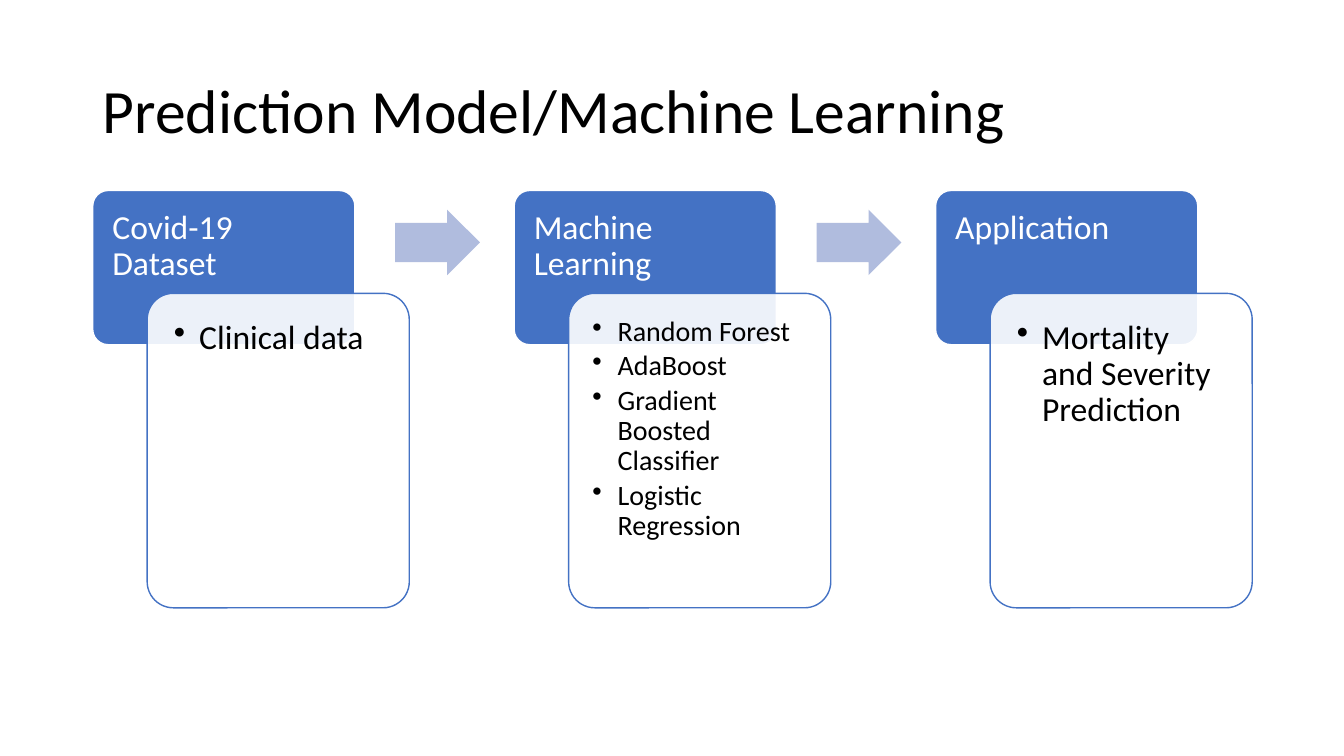
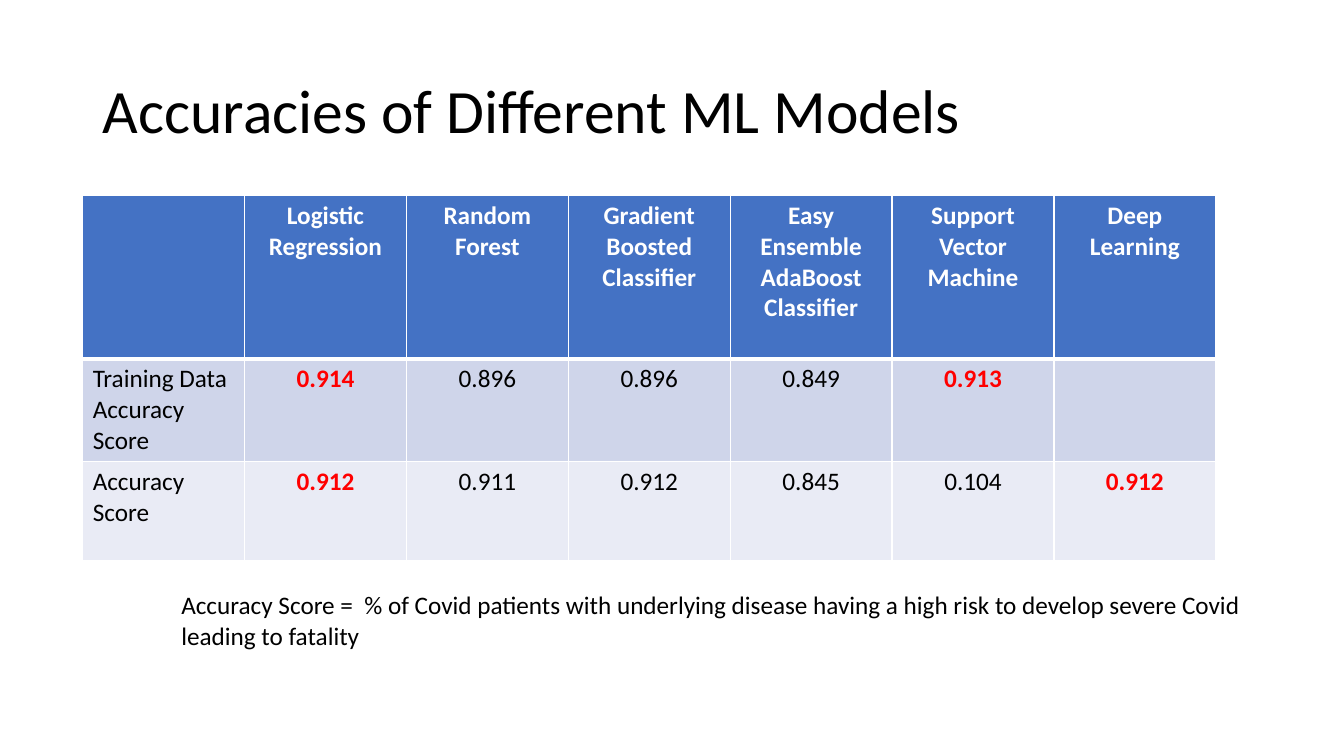
from dataclasses import dataclass

from lxml.etree import SubElement
from pptx import Presentation
from pptx.dml.color import RGBColor
from pptx.enum.shapes import MSO_SHAPE as Form
from pptx.enum.text import MSO_ANCHOR as Anchor, MSO_AUTO_SIZE as Fit, PP_ALIGN as Align
from pptx.oxml import parse_xml
from pptx.oxml.ns import nsdecls, qn
from pptx.shapes.autoshape import Shape
from pptx.slide import Slide
from pptx.table import _Cell as Cell
from pptx.text.text import TextFrame, _Paragraph as Para
from pptx.util import Inches, Pt

FONT = "Calibri"
BLACK = RGBColor(0x00, 0x00, 0x00)
WHITE = RGBColor(0xFF, 0xFF, 0xFF)
BLUE = RGBColor(0x44, 0x72, 0xC4)
PALE = RGBColor(0xB0, 0xBC, 0xDE)
RED = RGBColor(0xFF, 0x00, 0x00)
BANDS = (RGBColor(0xCF, 0xD5, 0xEA), RGBColor(0xE9, 0xEB, 0xF5))

LEFT, TOP, STEP = 0.92, 1.89, 4.18
CARD_W, HEAD_H, BODY_H = 2.6, 1.53, 3.12


@dataclass(frozen=True)
class Stage:
    head: str
    items: tuple[str, ...]
    size: int = 24
    inset: float = 0.19


@dataclass(frozen=True)
class Score:
    label: str
    values: tuple[str, ...]
    best: tuple[int, ...]
    height: float


STAGES = (
    Stage("Covid-19 Dataset", ("Clinical data",)),
    Stage(
        "Machine Learning",
        ("Random Forest", "AdaBoost", "Gradient Boosted Classifier", "Logistic Regression"),
        size=20,
        inset=0.16,
    ),
    Stage("Application", ("Mortality and Severity Prediction",)),
)

MODELS = (
    "",
    "Logistic Regression",
    "Random Forest",
    "Gradient Boosted Classifier",
    "Easy Ensemble AdaBoost\nClassifier",
    "Support Vector Machine",
    "Deep Learning",
)
SCORES = (
    Score("Training Data Accuracy Score",
          ("0.914", "0.896", "0.896", "0.849", "0.913", ""), (0, 4), 1.01),
    Score("Accuracy Score",
          ("0.912", "0.911", "0.912", "0.845", "0.104", "0.912"), (0, 5), 0.99),
)
NOTE = ("Accuracy Score =  % of Covid patients with underlying disease "
        "having a high risk to develop severe Covid leading to fatality")


def add_bullet(para: Para) -> None:
    props = para._p.get_or_add_pPr()
    props.set("marL", str(Inches(0.25)))
    props.set("indent", str(-Inches(0.25)))
    SubElement(props, qn("a:buChar")).set("char", "•")


def write(frame: TextFrame, text: str, *, size: float = 18, color: RGBColor = BLACK,
          bold: bool = False, align: Align = Align.LEFT, line: float = 1.0,
          after: float = 0, bullet: bool = False) -> None:
    """Fill the frame with one paragraph for each line of text."""
    frame.word_wrap = True
    for i, part in enumerate(text.split("\n")):
        para = frame.paragraphs[0] if i == 0 else frame.add_paragraph()
        para.alignment, para.line_spacing = align, line
        para.space_before, para.space_after = Pt(0), Pt(after)
        if bullet:
            add_bullet(para)
        font = para.font
        if part:
            run = para.add_run()
            run.text, font = part, run.font
        font.name, font.size, font.bold = FONT, Pt(size), bold
        font.color.rgb = color


def add_form(slide: Slide, form: Form, box: tuple[float, ...], fill: RGBColor,
             edge: RGBColor | None = None) -> Shape:
    shape = slide.shapes.add_shape(form, *map(Inches, box))
    shape.shadow.inherit = False
    shape.fill.solid()
    shape.fill.fore_color.rgb = fill
    if edge is None:
        shape.line.fill.background()
    else:
        shape.line.color.rgb, shape.line.width = edge, Pt(1)
    return shape


def add_card(slide: Slide, box: tuple[float, ...], fill: RGBColor, edge: RGBColor,
             inset: float) -> Shape:
    card = add_form(slide, Form.ROUNDED_RECTANGLE, box, fill, edge)
    card.adjustments[0] = 0.1
    frame = card.text_frame
    frame.vertical_anchor = Anchor.TOP
    frame.margin_left = frame.margin_right = Inches(inset)
    frame.margin_top = frame.margin_bottom = Inches(inset)
    return card


def set_alpha(shape: Shape, share: int) -> None:
    color = shape.fill._xPr.find(qn("a:solidFill"))[0]
    SubElement(color, qn("a:alpha")).set("val", str(share * 1000))


def add_stage(slide: Slide, stage: Stage, left: float) -> None:
    head = add_card(slide, (left, TOP, CARD_W, HEAD_H), BLUE, WHITE, 0.15)
    write(head.text_frame, stage.head, size=24, color=WHITE, line=0.9, after=8.4)
    box = (left + 0.54, TOP + 1.02, CARD_W, BODY_H)
    body = add_card(slide, box, WHITE, BLUE, stage.inset)
    set_alpha(body, 90)
    write(body.text_frame, "\n".join(stage.items), size=stage.size, line=0.9,
          after=0.15 * stage.size, bullet=True)


def add_arrow(slide: Slide, left: float) -> None:
    arrow = add_form(slide, Form.RIGHT_ARROW, (left, 2.08, 0.84, 0.65), PALE)
    arrow.adjustments[0], arrow.adjustments[1] = 0.6, 0.5


def set_edges(cell: Cell, top: float, bottom: float) -> None:
    """Draw white borders; top and bottom are widths in points."""
    props = cell._tc.get_or_add_tcPr()
    for i, (side, width) in enumerate(zip("LRTB", (1, 1, top, bottom))):
        props.insert(i, parse_xml(
            f'<a:ln{side} {nsdecls("a")} w="{Pt(width)}"><a:solidFill>'
            f'<a:srgbClr val="{WHITE}"/></a:solidFill></a:ln{side}>'))


def style_cell(cell: Cell, fill: RGBColor, top: float = 1, bottom: float = 1) -> None:
    cell.fill.solid()
    cell.fill.fore_color.rgb = fill
    set_edges(cell, top, bottom)


def add_scores(slide: Slide) -> None:
    heights = (1.62, *(score.height for score in SCORES))
    size = (0.82, 1.94, 11.24, sum(heights))
    table = slide.shapes.add_table(len(heights), len(MODELS), *map(Inches, size)).table
    for row, height in zip(table.rows, heights):
        row.height = Inches(height)
    for col, name in enumerate(MODELS):
        cell = table.cell(0, col)
        style_cell(cell, BLUE, bottom=3)
        write(cell.text_frame, name, color=WHITE, bold=True, align=Align.CENTER)
    for row, (score, band) in enumerate(zip(SCORES, BANDS), 1):
        for col, text in enumerate((score.label, *score.values)):
            cell = table.cell(row, col)
            style_cell(cell, band, top=3 if row == 1 else 1)
            best = col - 1 in score.best
            write(cell.text_frame, text, color=RED if best else BLACK, bold=best,
                  align=Align.CENTER if col else Align.LEFT)


def add_slide(deck: Presentation, title: str) -> Slide:
    slide = deck.slides.add_slide(deck.slide_layouts.get_by_name("Title Only"))
    head = slide.shapes.title
    head.left, head.top, head.width, head.height = map(Inches, (0.92, 0.4, 11.5, 1.45))
    head.text_frame.auto_size = Fit.NONE
    head.text_frame.vertical_anchor = Anchor.MIDDLE
    write(head.text_frame, title, size=44, line=0.9)
    return slide


def main() -> None:
    deck = Presentation()
    deck.slide_width, deck.slide_height = Inches(13.33), Inches(7.5)

    flow = add_slide(deck, "Prediction Model/Machine Learning")
    for i, stage in enumerate(STAGES):
        left = LEFT + i * STEP
        if i:
            add_arrow(flow, left - 1.18)
        add_stage(flow, stage, left)

    marks = add_slide(deck, "Accuracies of Different ML Models")
    add_scores(marks)
    note = marks.shapes.add_textbox(*map(Inches, (1.7, 5.8, 11.24, 0.71)))
    write(note.text_frame, NOTE)

    deck.save("out.pptx")


if __name__ == "__main__":
    main()
